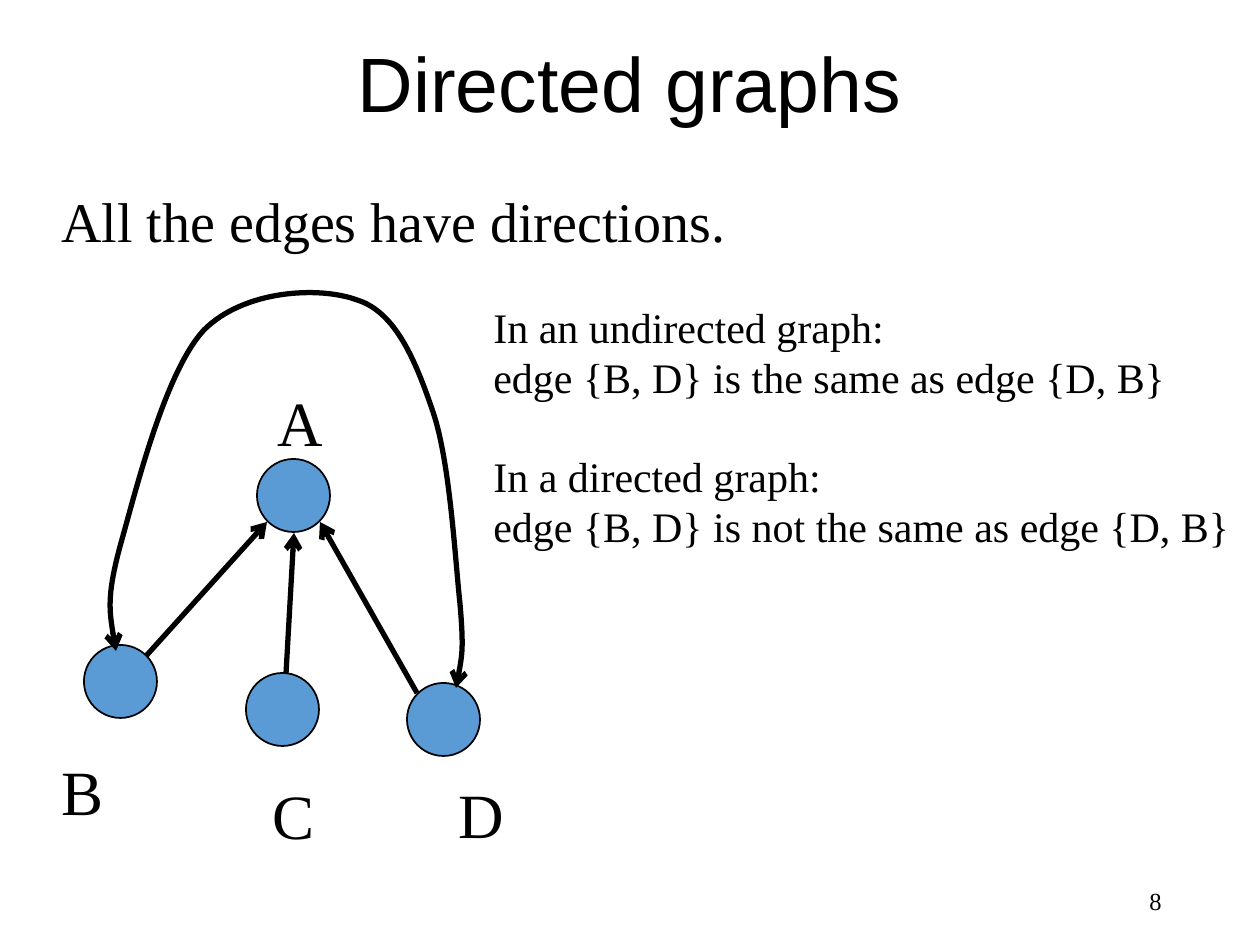
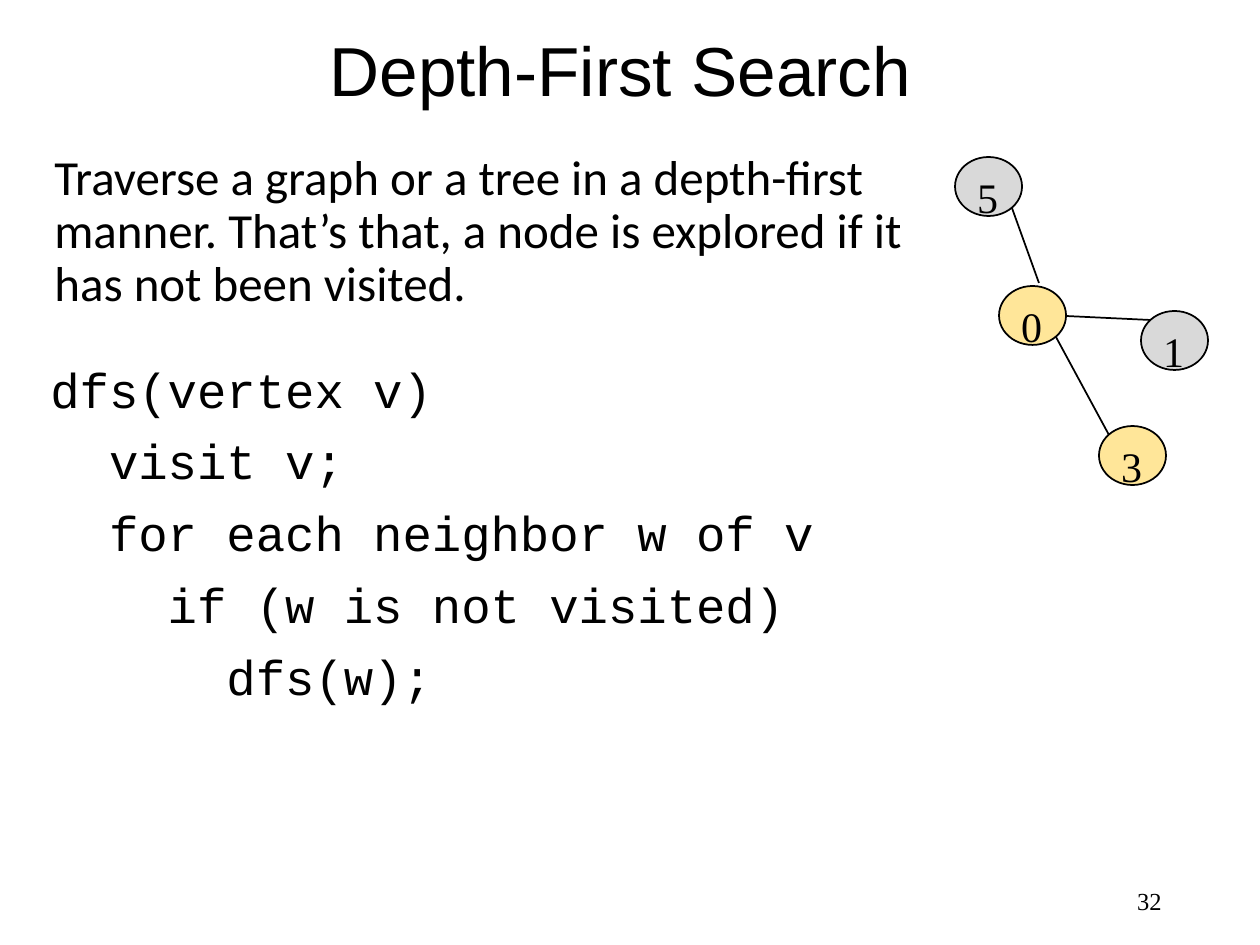
from pptx import Presentation
from pptx.dml.color import RGBColor
from pptx.enum.shapes import MSO_CONNECTOR, MSO_SHAPE
from pptx.enum.text import MSO_ANCHOR as Anchor, PP_ALIGN as Align
from pptx.oxml.ns import qn
from pptx.util import Inches, Pt
from lxml.etree import SubElement

PX = Inches(1) / 126
BLACK = RGBColor(0x00, 0x00, 0x00)
BLUE = RGBColor(0x5B, 0x9B, 0xD5)
YELLOW = RGBColor(0xFF, 0xE6, 0x99)
GREY = RGBColor(0xD9, 0xD9, 0xD9)
SERIF, SANS, BODY, MONO = "Times New Roman", "Arial", "Calibri", "Courier New"

PAGE_NUMBER_BOX = (890, 876, 284, 50)

VERTEX_SIZE = (73, 73)
VERTICES = [(257, 459), (84, 645), (246, 673), (407, 683)]
LABEL_SIZE = (72, 89)
LABELS = [("A", 265, 377), ("B", 49, 746), ("C", 260, 770), ("D", 446, 769)]
ARROWS = [
    ((146, 656), (267, 522)),
    ((286, 674), (294, 533)),
    ((417, 693), (320, 522)),
]
CURVE_START = (456, 688)
CURVE_POINTS = [
    (460, 669), (464, 650), (460, 604),
    (455, 558), (450, 462), (433, 412),
    (416, 362), (396, 312), (357, 300),
    (319, 286), (244, 290), (204, 330),
    (165, 372), (136, 490), (121, 543),
    (106, 597), (111, 624), (116, 651),
]
STATEMENT = "All the edges have directions."
COMPARISONS = [
    ("In an undirected graph:", 0),
    ("edge {B, D} is the same as edge {D, B}", 0),
    ("In a directed graph:", 27.6),
    ("edge {B, D} is not the same as edge {D, B}", 0),
]

TREE_NODE_SIZE = (67, 59)
TREE_NODES = [
    ("0", 999, 286, YELLOW),
    ("1", 1141, 311, GREY),
    ("3", 1099, 426, YELLOW),
    ("5", 955, 157, GREY),
]
TREE_EDGES = [
    ((1066, 316), (1150, 320)),
    ((1056, 337), (1109, 435)),
    ((1012, 208), (1039, 283)),
]
EXPLANATION = (
    "Traverse a graph or a tree in a depth-first manner. "
    "That’s that, a node is explored if it has not been visited."
)
CODE = [
    "dfs(vertex v)",
    "  visit v;",
    "  for each neighbor w of v",
    "    if (w is not visited)",
    "      dfs(w);",
]


def emu(*lengths):
    return [round(length * PX) for length in lengths]


def write(frame, lines, size, font, align=Align.LEFT, spacing=None):
    for index, (text, space_before) in enumerate(lines):
        paragraph = frame.paragraphs[0] if index == 0 else frame.add_paragraph()
        paragraph.text = text
        paragraph.alignment = align
        paragraph.line_spacing = spacing
        paragraph.space_before = Pt(space_before)
        paragraph.font.size = Pt(size)
        paragraph.font.name = font
        paragraph.font.color.rgb = BLACK


def add_text(slide, box, lines, size, font, wrap=True, anchor=Anchor.TOP, **style):
    frame = slide.shapes.add_textbox(*emu(*box)).text_frame
    frame.word_wrap = wrap
    frame.vertical_anchor = anchor
    write(frame, lines, size, font, **style)


def set_line(shape, width, ends=()):
    shape.line.color.rgb = BLACK
    shape.line.width = Pt(width)
    line = shape.element.spPr.find(qn("a:ln"))
    for end in ends:
        SubElement(line, qn(f"a:{end}"), type="arrow")


def add_node(slide, position, size, color):
    node = slide.shapes.add_shape(MSO_SHAPE.OVAL, *emu(*position, *size))
    node.shadow.inherit = False
    node.fill.solid()
    node.fill.fore_color.rgb = color
    set_line(node, 1)
    return node


def add_edge(slide, start, end, width, ends=()):
    edge = slide.shapes.add_connector(MSO_CONNECTOR.STRAIGHT, *emu(*start, *end))
    set_line(edge, width, ends)
    SubElement(edge.element.spPr, qn("a:effectLst"))


def add_curve(slide, start, points):
    builder = slide.shapes.build_freeform(*start, scale=PX)
    builder.add_line_segments(points, close=False)
    curve = builder.convert_to_shape()
    curve.shadow.inherit = False
    curve.fill.background()
    set_line(curve, 3, ("headEnd", "tailEnd"))
    segments = list(curve.element.iter(qn("a:lnTo")))
    outline = segments[0].getparent()
    for first in range(0, len(segments), 3):
        bezier = SubElement(outline, qn("a:cubicBezTo"))
        for segment in segments[first:first + 3]:
            bezier.append(segment[0])
            outline.remove(segment)


def add_slide(presentation, title, title_box, title_size, number):
    slide = presentation.slides.add_slide(presentation.slide_layouts[6])
    add_text(slide, title_box, [(title, 0)], title_size, SANS,
             anchor=Anchor.MIDDLE, align=Align.CENTER, spacing=0.9)
    add_text(slide, PAGE_NUMBER_BOX, [(number, 0)], 14, SERIF,
             anchor=Anchor.MIDDLE, align=Align.RIGHT)
    return slide


def add_directed_graphs(presentation):
    slide = add_slide(presentation, "Directed graphs", (94, 39, 1071, 97), 44, "8")
    for position in VERTICES:
        add_node(slide, position, VERTEX_SIZE, BLUE)
    for start, end in ARROWS:
        add_edge(slide, start, end, 3, ("tailEnd",))
    for label, left, top in LABELS:
        add_text(slide, (left, top, *LABEL_SIZE), [(label, 0)], 36, SERIF, wrap=False)
    add_curve(slide, CURVE_START, CURVE_POINTS)
    add_text(slide, (49, 180, 697, 81), [(STATEMENT, 0)], 32, SERIF, wrap=False)
    add_text(slide, (481, 295, 769, 267), COMPARISONS, 24, SERIF, wrap=False)


def add_depth_first_search(presentation):
    slide = add_slide(presentation, "Depth-First Search", (85, 32, 1071, 84), 39.6, "32")
    add_text(slide, (42, 147, 903, 252), [(EXPLANATION, 0)], 28, BODY, spacing=0.9)
    code_lines = [(line, 7.4 if index else 0) for index, line in enumerate(CODE)]
    add_text(slide, (38, 353, 1081, 491), code_lines, 28, MONO)
    for label, left, top, color in TREE_NODES:
        node = add_node(slide, (left, top), TREE_NODE_SIZE, color)
        node.text_frame.vertical_anchor = Anchor.TOP
        write(node.text_frame, [(label, 0)], 24, SERIF)
    for start, end in TREE_EDGES:
        add_edge(slide, start, end, 1)


def main():
    presentation = Presentation()
    presentation.slide_width, presentation.slide_height = Inches(10), Inches(7.5)
    add_directed_graphs(presentation)
    add_depth_first_search(presentation)
    presentation.save("out.pptx")


if __name__ == "__main__":
    main()
